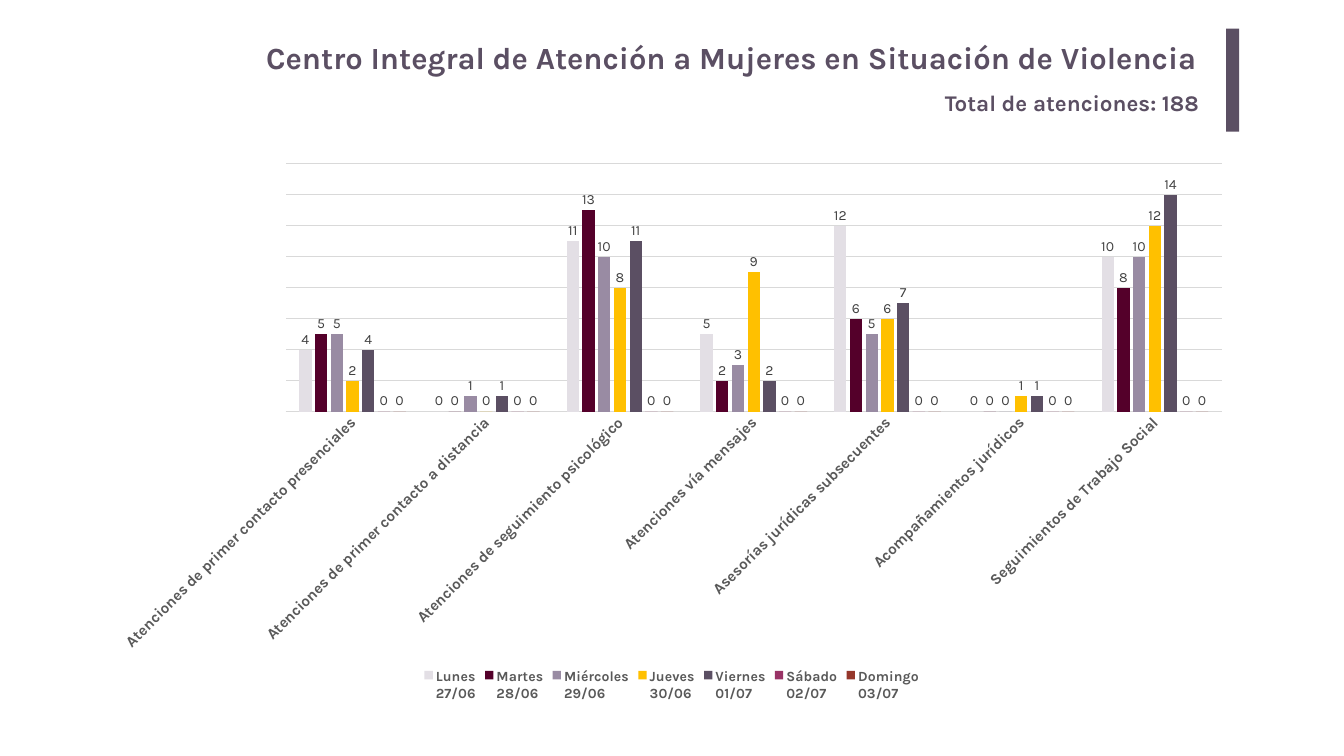
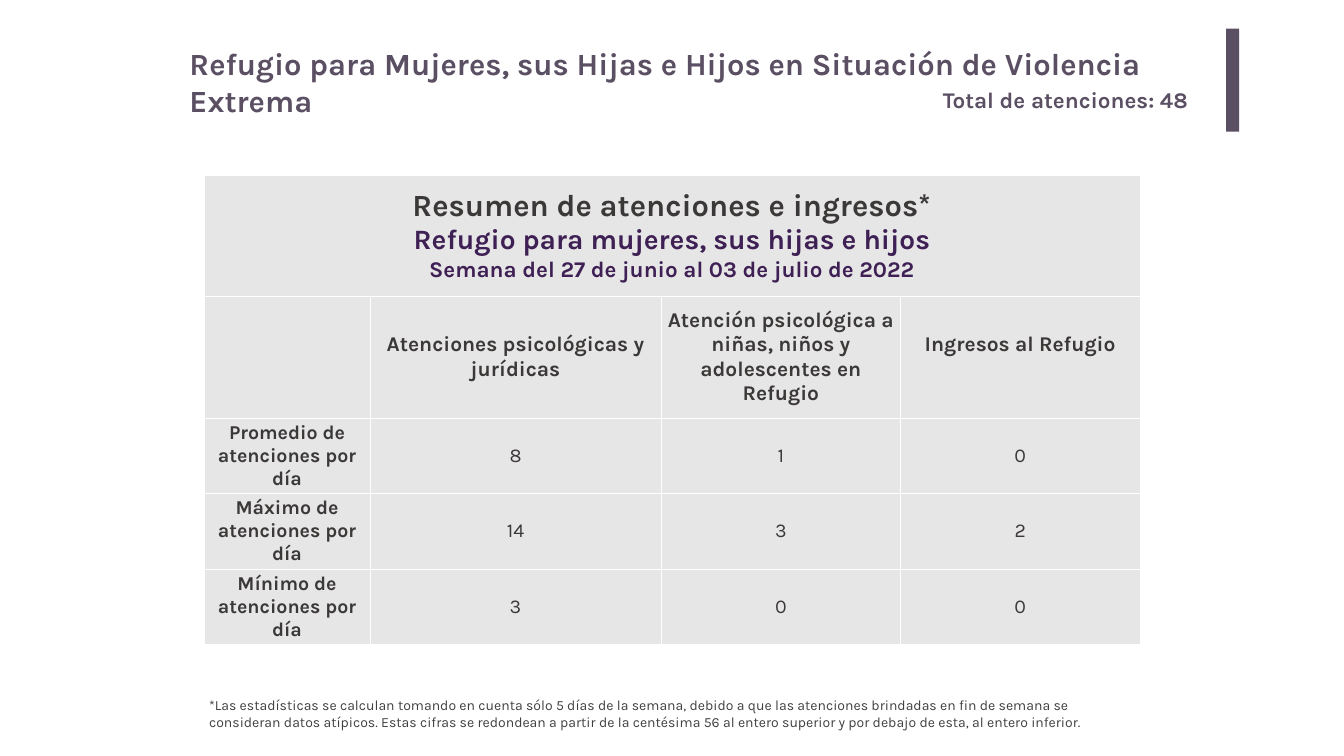
from dataclasses import dataclass

import pptx
import pptx.chart.data
import pptx.dml.color
import pptx.enum.chart
import pptx.enum.shapes
import pptx.enum.text
import pptx.oxml
import pptx.util
from pptx.oxml.ns import nsdecls

Inches = pptx.util.Inches
Pt = pptx.util.Pt
RGBColor = pptx.dml.color.RGBColor
Align = pptx.enum.text.PP_ALIGN
Anchor = pptx.enum.text.MSO_ANCHOR

FONT = "Karla"
PLUM = RGBColor(0x5B, 0x4F, 0x63)
PURPLE = RGBColor(0x3E, 0x20, 0x54)
CHARCOAL = RGBColor(0x3B, 0x38, 0x38)
DARK_GRAY = RGBColor(0x40, 0x40, 0x40)
AXIS_GRAY = RGBColor(0x59, 0x59, 0x59)
GRID_GRAY = RGBColor(0xD9, 0xD9, 0xD9)
CELL_GRAY = RGBColor(0xE7, 0xE6, 0xE6)
BLACK = RGBColor(0, 0, 0)
WHITE = RGBColor(0xFF, 0xFF, 0xFF)


@dataclass(frozen=True)
class Box:
    left: float
    top: float
    width: float
    height: float

    def lengths(self) -> tuple:
        return tuple(Inches(n) for n in (self.left, self.top, self.width, self.height))


@dataclass(frozen=True)
class Header:
    title: str
    title_box: Box
    total: str
    total_box: Box
    align: Align = Align.LEFT
    title_margins: tuple[float, float] = (0.1, 0.05)


@dataclass(frozen=True)
class Day:
    name: str
    color: RGBColor
    counts: tuple[int, ...]


BAND_BOX = Box(24.33, 0.57, 0.26, 2.04)

CENTER_HEADER = Header(
    "Centro Integral de Atención a Mujeres en Situación de Violencia",
    Box(3.66, 0.67, 20.3, 1.02),
    "Total de atenciones: 188",
    Box(18.65, 1.71, 5.31, 0.65),
    align=Align.RIGHT,
    title_margins=(0.2, 0.1),
)
SHELTER_HEADER = Header(
    "Refugio para Mujeres, sus Hijas e Hijos en Situación de Violencia Extrema",
    Box(3.66, 0.84, 20.73, 0.84),
    "Total de atenciones: 48",
    Box(18.61, 1.65, 5.35, 0.64),
)

SERVICES = (
    "Atenciones de primer contacto presenciales",
    "Atenciones de primer contacto a distancia",
    "Atenciones de seguimiento psicológico",
    "Atenciones vía mensajes",
    "Asesorías jurídicas subsecuentes",
    "Acompañamientos jurídicos",
    "Seguimientos de Trabajo Social",
)
DAYS = (
    Day("Lunes\n27/06", RGBColor(0xE3, 0xDF, 0xE5), (4, 0, 11, 5, 12, 0, 10)),
    Day("Martes\n28/06", RGBColor(0x54, 0x00, 0x2A), (5, 0, 13, 2, 6, 0, 8)),
    Day("Miércoles\n29/06", RGBColor(0x99, 0x8B, 0xA3), (5, 1, 10, 3, 5, 0, 10)),
    Day("Jueves\n30/06", RGBColor(0xFF, 0xC0, 0x00), (2, 0, 8, 9, 6, 1, 12)),
    Day("Viernes\n01/07", PLUM, (4, 1, 11, 2, 7, 1, 14)),
    Day("Sábado\n02/07", RGBColor(0x99, 0x33, 0x66), (0,) * 7),
    Day("Domingo\n03/07", RGBColor(0x95, 0x37, 0x2B), (0,) * 7),
)

COLUMN_WIDTHS = (3.29, 5.78, 4.75, 4.75)
ROW_HEIGHTS = (2.4, 2.42, 1.5, 1.5, 1.5)
SUMMARY_TITLE = (
    ("Resumen de atenciones e ingresos*", 44, CHARCOAL),
    ("Refugio para mujeres, sus hijas e hijos", 40, PURPLE),
    ("Semana del 27 de junio al 03 de julio de 2022", 32, PURPLE),
)
SUMMARY_ROWS = (
    ("", "Atenciones psicológicas y jurídicas",
     "Atención psicológica a niñas, niños y adolescentes en Refugio", "Ingresos al Refugio"),
    ("Promedio de atenciones por día", "8", "1", "0"),
    ("Máximo de atenciones por día", "14", "3", "2"),
    ("Mínimo de atenciones por día", "3", "0", "0"),
)
FOOTNOTE = (
    "*Las estadísticas se calculan tomando en cuenta sólo 5 días de la semana, debido a que "
    "las atenciones brindadas en fin de semana se consideran datos atípicos. Estas cifras se "
    "redondean a partir de la centésima 56 al entero superior y por debajo de esta, al entero "
    "inferior."
)


def format_font(font, size: float, color: RGBColor, bold: bool = False) -> None:
    font.name = FONT
    font.size = Pt(size)
    font.bold = bold
    font.color.rgb = color


def write_text(paragraph, text: str, *, size: float, color: RGBColor,
               bold: bool = False, align: Align = Align.LEFT) -> None:
    paragraph.alignment = align
    run = paragraph.add_run()
    run.text = text
    format_font(run.font, size, color, bold)


def prepare_frame(text_frame, margins: tuple[float, float] = (0.1, 0.05)) -> None:
    """Wrap from the top, with the given side and vertical margins."""
    text_frame.word_wrap = True
    text_frame.auto_size = pptx.enum.text.MSO_AUTO_SIZE.NONE
    text_frame.vertical_anchor = Anchor.TOP
    text_frame.margin_left = text_frame.margin_right = Inches(margins[0])
    text_frame.margin_top = text_frame.margin_bottom = Inches(margins[1])


def add_text_box(slide, box: Box, text: str, **text_format) -> None:
    text_frame = slide.shapes.add_textbox(*box.lengths()).text_frame
    prepare_frame(text_frame)
    write_text(text_frame.paragraphs[0], text, **text_format)


def add_slide(presentation, header: Header):
    """Add a slide with its title, total and side band."""
    slide = presentation.slides.add_slide(presentation.slide_layouts[5])
    title = slide.shapes.title
    title.left, title.top, title.width, title.height = header.title_box.lengths()
    prepare_frame(title.text_frame, header.title_margins)
    write_text(title.text_frame.paragraphs[0], header.title,
               size=44, color=PLUM, bold=True, align=header.align)

    band = slide.shapes.add_shape(
        pptx.enum.shapes.MSO_SHAPE.RECTANGLE, *BAND_BOX.lengths())
    band.shadow.inherit = False
    band.fill.solid()
    band.fill.fore_color.rgb = PLUM
    band.line.fill.background()

    add_text_box(slide, header.total_box, header.total, size=32, color=PLUM, bold=True)
    return slide


def format_line(line, color: RGBColor) -> None:
    line.color.rgb = color
    line.width = Pt(0.75)


def add_attention_chart(slide, box: Box) -> None:
    data = pptx.chart.data.CategoryChartData()
    data.categories = SERVICES
    for day in DAYS:
        data.add_series(day.name, day.counts)
    chart = slide.shapes.add_chart(
        pptx.enum.chart.XL_CHART_TYPE.COLUMN_CLUSTERED, *box.lengths(), data).chart
    format_font(chart.font, 10, BLACK)
    chart.has_title = False
    chart.has_legend = True
    chart.legend.position = pptx.enum.chart.XL_LEGEND_POSITION.BOTTOM
    chart.legend.include_in_layout = False
    format_font(chart.legend.font, 20, AXIS_GRAY, bold=True)

    category_axis = chart.category_axis
    category_axis.major_tick_mark = pptx.enum.chart.XL_TICK_MARK.NONE
    format_line(category_axis.format.line, GRID_GRAY)
    format_font(category_axis.tick_labels.font, 22, AXIS_GRAY, bold=True)
    label_body = category_axis._element.txPr.find(pptx.oxml.ns.qn("a:bodyPr"))
    label_body.set("rot", "-2700000")
    label_body.set("vert", "horz")

    value_axis = chart.value_axis
    value_axis.visible = False
    value_axis.minimum_scale, value_axis.maximum_scale = 0, 16
    value_axis.major_unit = 2
    value_axis.has_major_gridlines = True
    format_line(value_axis.major_gridlines.format.line, GRID_GRAY)

    plot = chart.plots[0]
    plot.vary_by_categories = False
    plot.gap_width = 219
    plot.overlap = -27
    for series, day in zip(plot.series, DAYS):
        series.format.fill.solid()
        series.format.fill.fore_color.rgb = day.color
        labels = series.data_labels
        labels.show_value = True
        labels.position = pptx.enum.chart.XL_LABEL_POSITION.OUTSIDE_END
        format_font(labels.font, 20, DARK_GRAY)


def format_cell(cell) -> None:
    """Set white borders, grey fill, no margins and middle anchoring."""
    cell.margin_left = cell.margin_right = cell.margin_top = cell.margin_bottom = 0
    cell.vertical_anchor = Anchor.MIDDLE
    properties = cell._tc.get_or_add_tcPr()
    for side in ("L", "R", "T", "B"):
        properties.append(pptx.oxml.parse_xml(
            f'<a:ln{side} {nsdecls("a")} w="{Pt(1)}"><a:solidFill>'
            f'<a:srgbClr val="{WHITE}"/></a:solidFill></a:ln{side}>'))
    cell.fill.solid()
    cell.fill.fore_color.rgb = CELL_GRAY


def add_summary_table(slide, box: Box) -> None:
    table = slide.shapes.add_table(
        len(ROW_HEIGHTS), len(COLUMN_WIDTHS), *box.lengths()).table
    table.first_row = table.horz_banding = False
    for column, width in zip(table.columns, COLUMN_WIDTHS):
        column.width = Inches(width)
    for row, height in zip(table.rows, ROW_HEIGHTS):
        row.height = Inches(height)
    for cell in table.iter_cells():
        format_cell(cell)

    title_cell = table.cell(0, 0)
    title_cell.merge(table.cell(0, len(COLUMN_WIDTHS) - 1))
    text_frame = title_cell.text_frame
    for index, (text, size, color) in enumerate(SUMMARY_TITLE):
        paragraph = text_frame.add_paragraph() if index else text_frame.paragraphs[0]
        write_text(paragraph, text, size=size, color=color, bold=True, align=Align.CENTER)

    for row_index, texts in enumerate(SUMMARY_ROWS, start=1):
        for column_index, text in enumerate(texts):
            if text:
                is_heading = row_index == 1
                write_text(table.cell(row_index, column_index).text_frame.paragraphs[0], text,
                           size=30 if is_heading else 28, color=CHARCOAL,
                           bold=is_heading or column_index == 0, align=Align.CENTER)
    # The last heading sits half a line above the middle.
    table.cell(1, 3).margin_bottom = Inches(0.48)


def main() -> None:
    presentation = pptx.Presentation()
    presentation.slide_width = Inches(26.67)
    presentation.slide_height = Inches(15)

    center_slide = add_slide(presentation, CENTER_HEADER)
    add_attention_chart(center_slide, Box(1.96, 3.03, 22.74, 10.95))

    shelter_slide = add_slide(presentation, SHELTER_HEADER)
    add_summary_table(shelter_slide, Box(4.05, 3.47, 18.56, 9.32))
    add_text_box(shelter_slide, Box(4.05, 13.77, 18.56, 0.77), FOOTNOTE,
                 size=20, color=DARK_GRAY)

    presentation.save("out.pptx")


if __name__ == "__main__":
    main()
